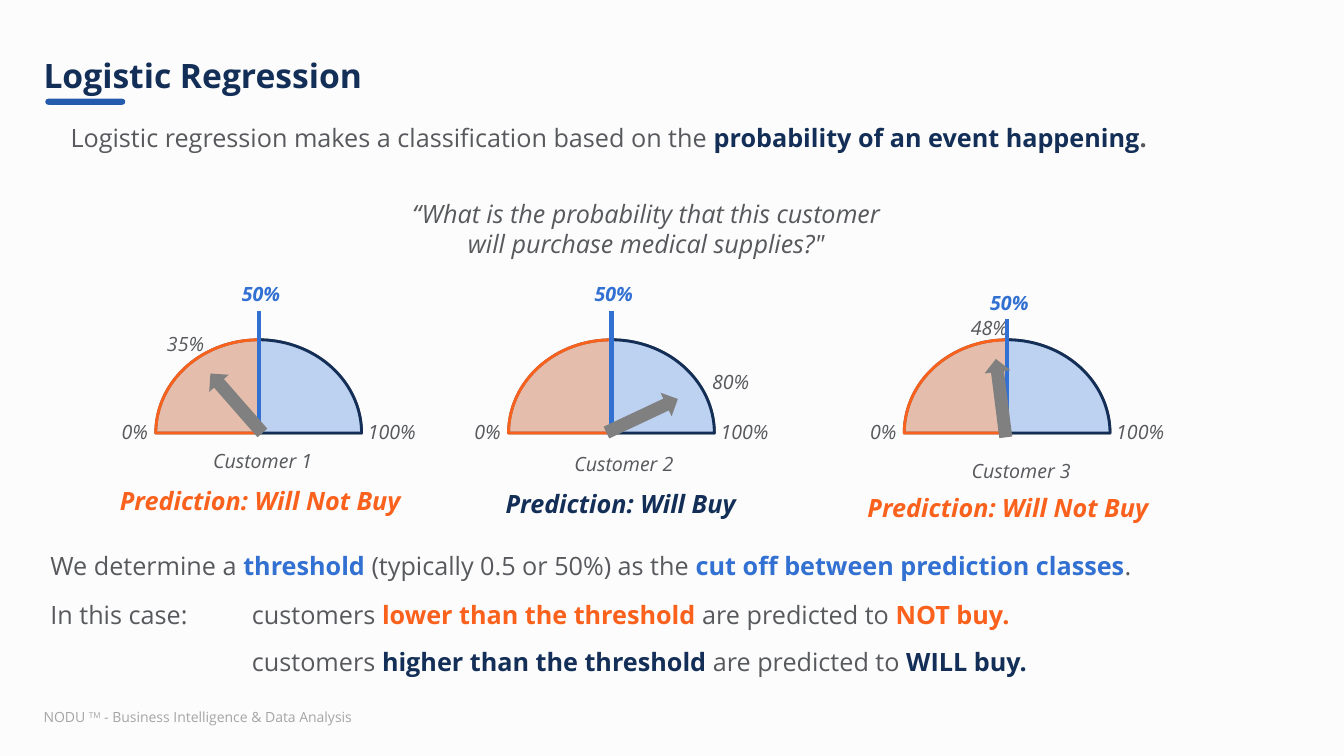
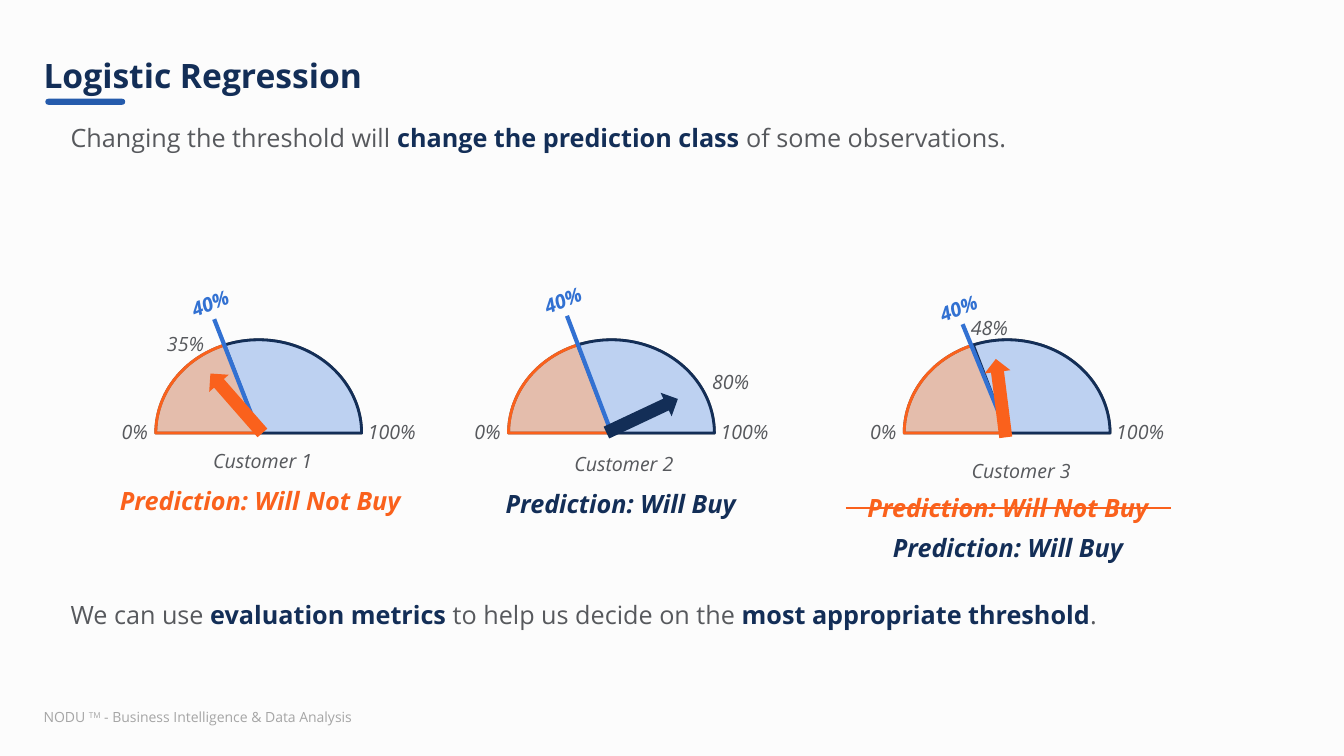
from pptx import Presentation
from pptx.dml.color import RGBColor as Rgb
from pptx.enum.shapes import MSO_CONNECTOR as Link, MSO_SHAPE as Kind
from pptx.enum.text import MSO_ANCHOR as Anchor, PP_ALIGN as Align
from pptx.oxml.ns import qn
from pptx.util import Pt
from lxml.etree import SubElement as Sub

HUE = {
    "back": "FCFCFC", "navy": "132E57", "blue": "3271D2", "bar": "255BAC",
    "pale": "BDD1F1", "orange": "FA611C", "text": "57595D", "ash": "DDDEDF",
    "grey": "808080", "foot": "A5A5A5",
}
FONT = "Open Sans"

# The slide is a grid of 160 columns by 90 rows of square cells.
CELL = 76200
COLS, ROWS = 160, 90

deck = Presentation()
deck.slide_width = COLS * CELL
deck.slide_height = ROWS * CELL
back = deck.slide_master.background.fill
back.solid()
back.fore_color.rgb = Rgb.from_string(HUE["back"])


def text(page, box, paras, size=18, pad=0, lead=1, align=Align.LEFT,
         anchor=Anchor.TOP, turn=0):
    """Add a text box; a run is (words, hue, flags b, i or s for superscript)."""
    item = page.shapes.add_textbox(*[round(n * CELL) for n in box])
    item.rotation = turn
    frame = item.text_frame
    frame.word_wrap = True
    frame.vertical_anchor = anchor
    frame.margin_left = frame.margin_right = round(1.2 * pad * CELL)
    frame.margin_top = frame.margin_bottom = round(0.6 * pad * CELL)
    for k, runs in enumerate(paras):
        para = frame.add_paragraph() if k else frame.paragraphs[0]
        para.alignment = align
        para.line_spacing = lead
        para.space_before = Pt(10 if k else 0)
        for words, hue, flags in runs:
            run = para.add_run()
            run.text = words
            font = run.font
            font.name, font.size = FONT, Pt(size)
            font.bold, font.italic = "b" in flags, "i" in flags
            font.color.rgb = Rgb.from_string(HUE[hue])
            if "s" in flags:
                font._element.set("baseline", "30000")


def shape(page, kind, box, fill, edge=None, adj=(), turn=0, alpha=100):
    item = page.shapes.add_shape(kind, *[round(n * CELL) for n in box])
    item.shadow.inherit = False
    item.rotation = turn
    for k, value in enumerate(adj):
        item.adjustments[k] = value
    item.fill.solid()
    item.fill.fore_color.rgb = Rgb.from_string(HUE[fill])
    if alpha < 100:
        tint = item.fill._xPr.find(qn("a:solidFill"))[0]
        Sub(tint, qn("a:alpha")).set("val", str(alpha * 1000))
    if edge:
        item.line.color.rgb = Rgb.from_string(HUE[edge])
        item.line.width = Pt(2)
    else:
        item.line.fill.background()


# Gauges: middle column, score and its place, arrow place and turn,
# name place, middle and row of the prediction, verdict
GAUGES = [
    (30.8, "35%", (18.7, 38.9), (26.6, 43.3, -41.2), (24.2, 52.9), (31, 57.2), "Not Buy"),
    (72.8, "80%", (83.6, 43.4), (74.9, 44.8, 64.8), (67.2, 53.2), (73.9, 57.5), "Buy"),
    (119.9, "48%", (114.4, 37), (117.6, 42.7, -7.2), (114.5, 54), (120, 58), "Not Buy"),
]
DIAL_W, DIAL_H, BASE = 24.5, 22.2, 51.55
PRED_W, PRED_H = 63.8, 4.8
TINT = {"Buy": "navy", "Not Buy": "orange"}

# Pages: lead text, then the cut: label, angle of the dial, column shift of
# the line, column shift of the label, label turn, top row in each gauge
PAGES = [
    ([("Logistic regression makes a classification based on the ", "text", ""),
      ("probability of an event happening", "navy", "b"), (".", "text", "b")],
     ("50%", 90, 0, -3.2, 0, (37, 37, 38))),
    ([("Changing the threshold will ", "text", ""),
      ("change the prediction class ", "navy", "b"),
      ("of some observations.", "text", "")],
     ("40%", 69, -5.3, -9.3, -21.9, (38, 37.6, 38.6))),
]

for num, (lead, cut) in enumerate(PAGES):
    page = deck.slides.add_slide(deck.slide_layouts[6])
    first = num == 0

    # Frame shared by both pages
    text(page, (4, 83.8, 41.4, 3.2),
         [[("NODU ", "foot", ""), ("TM", "foot", "s"),
           (" - Business Intelligence & Data Analysis", "foot", "")]], 10, 1)
    shape(page, Kind.ROUNDED_RECTANGLE, (5.4, 11.76, 9.5, 0.72), "bar", adj=[0.5])
    text(page, (4, 4.6, 151.8, 9.2), [[("Logistic Regression", "navy", "b")]],
         24, 1, 0.9, anchor=Anchor.MIDDLE)
    text(page, (8.4, 13.8, 146.5, 8.5), [lead], lead=1.2)

    # Dials and their labels
    label, angle, shift, left, tilt, tops = cut
    rules = []
    for k, (mid, score, spot, arrow, name, pred, verdict) in enumerate(GAUGES):
        dial = (mid - DIAL_W / 2, BASE - DIAL_H / 2, DIAL_W, DIAL_H)
        split = 180 + angle
        for start, end, fill, edge, alpha in [
            (180, 360, "ash", "text", 100),
            (180, split, "orange", "orange", 26),
            (split, 360, "pale", "navy", 100),
        ]:
            # An angle is stored in 60000ths of a degree, a unit of adj in 100000ths
            adj = [start % 360 * 0.6, end % 360 * 0.6]
            shape(page, Kind.PIE, dial, fill, edge, adj, alpha=alpha)
        for words, col, row, wide in [
            ("0%", mid - 17.5, 49.4, 7.6),
            ("100%", mid + 11.8, 49.4, 9.5),
            (score, *spot, 7.6),
            (f"Customer {k + 1}", *name, 15.1),
        ]:
            text(page, (col, row, wide, 4), [[(words, "text", "i")]], 14, 1)
        text(page, (mid + left, tops[k] - 4, 7.6, 4), [[(label, "blue", "bi")]],
             14, 1, turn=tilt)
        rules.append((mid + shift, tops[k], mid, BASE, "blue", 3))

        calls = [(verdict, pred[1])]
        if not first and k == 2:
            calls.append(("Buy", 62.8))
            rules.append((100.7, 60.5, 139.4, 60.5, "orange", 1.5))
        for call, row in calls:
            text(page, (pred[0] - PRED_W / 2, row, PRED_W, PRED_H),
                 [[(f"Prediction: Will {call}", TINT[call], "bi")]],
                 pad=1, align=Align.CENTER)

    for *ends, hue, width in rules:
        rule = page.shapes.add_connector(Link.STRAIGHT, *[round(n * CELL) for n in ends])
        rule.line.color.rgb = Rgb.from_string(HUE[hue])
        rule.line.width = Pt(width)
        Sub(rule._element.spPr, qn("a:effectLst"))

    for *_, (col, row, turn), name, pred, verdict in GAUGES:
        shape(page, Kind.UP_ARROW, (col, row, 3.1, 9.4),
              "grey" if first else TINT[verdict], turn=turn)

    # Closing text
    if first:
        text(page, (46.9, 23, 60.1, 8.5),
             [[("“What is the probability that this customer will purchase "
                "medical supplies?\"", "text", "i")]], pad=1, align=Align.CENTER)
        text(page, (6, 64.8, 148.8, 6),
             [[("We determine a ", "text", ""), ("threshold ", "blue", "b"),
               ("(typically 0.5 or 50%) as the ", "text", ""),
               ("cut off between prediction classes", "blue", "b"),
               (".", "text", "")]], lead=1.2)
        text(page, (6, 71, 22, 5), [[("In this case:", "text", "")]], lead=1.1)
        text(page, (30, 71, 124.8, 11.8),
             [[("customers ", "text", ""), (f"{side} than the threshold ", hue, "b"),
               ("are predicted to ", "text", ""), (f"{act} buy.", hue, "b")]
              for side, hue, act in [("lower", "orange", "NOT"),
                                     ("higher", "navy", "WILL")]], lead=1.1)
    else:
        text(page, (8.4, 70.6, 146.5, 8.5),
             [[("We can use ", "text", ""), ("evaluation metrics ", "navy", "b"),
               ("to help us decide on the ", "text", ""),
               ("most appropriate threshold", "navy", "b"),
               (".", "text", "")]], lead=1.2)

deck.save("out.pptx")
